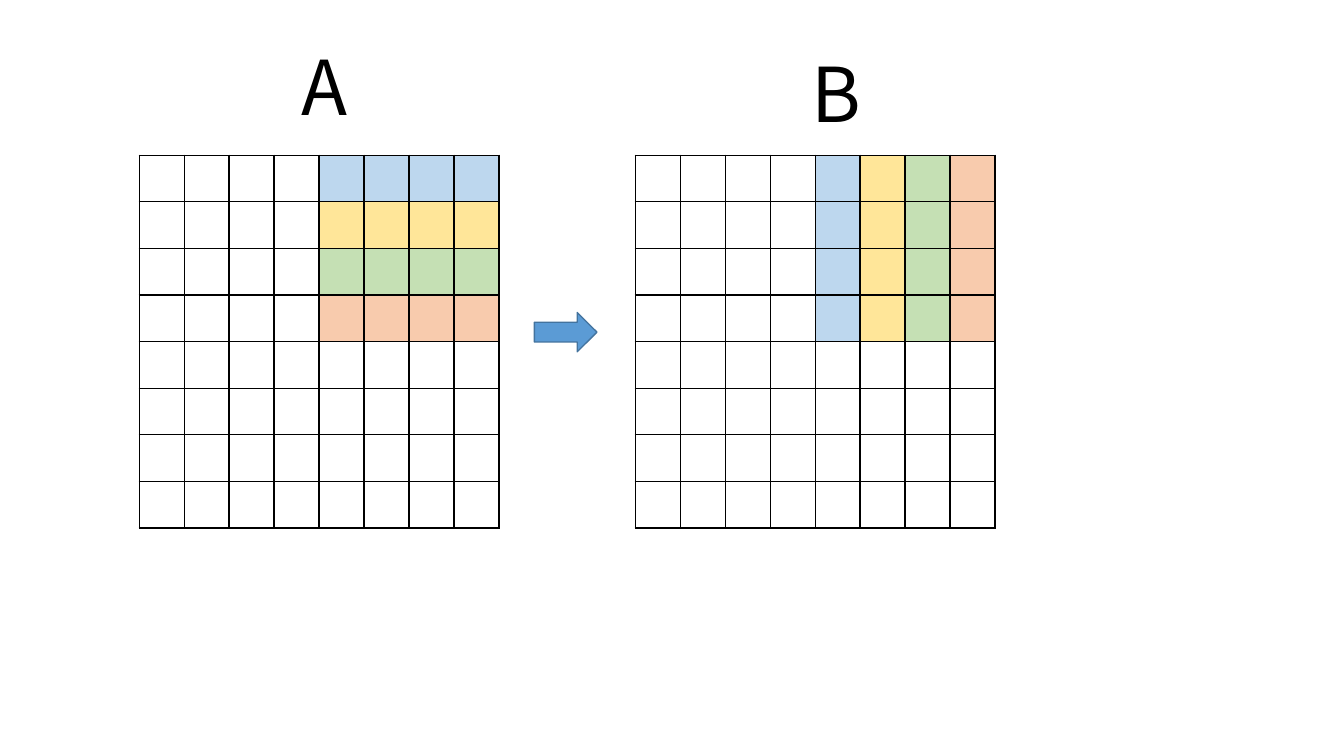
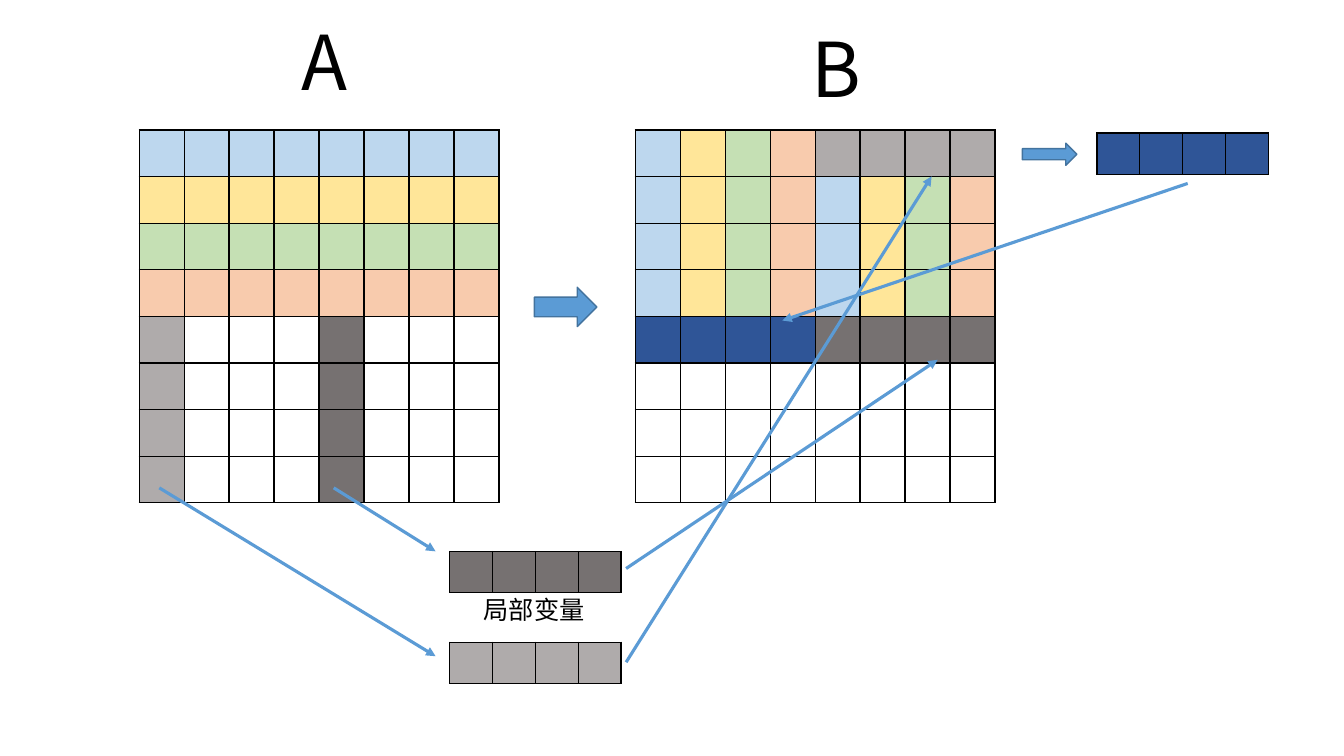
from lxml import etree
from pptx import Presentation
from pptx.dml.color import RGBColor
from pptx.enum.shapes import MSO_CONNECTOR, MSO_SHAPE
from pptx.enum.text import MSO_ANCHOR, PP_ALIGN
from pptx.oxml.ns import qn
from pptx.util import Inches, Pt

STRAIGHT = MSO_CONNECTOR.STRAIGHT
RIGHT_ARROW = MSO_SHAPE.RIGHT_ARROW
TOP = MSO_ANCHOR.TOP
LEFT, CENTER = PP_ALIGN.LEFT, PP_ALIGN.CENTER

FONT = "Noto Sans CJK SC"
BLACK, ACCENT, ACCENT_EDGE = "000000", "5B9BD5", "43739E"

# One letter per cell colour in the grid patterns
CELL_COLORS = {
    ".": "FFFFFF",
    "b": "BDD7EE",  # blue
    "y": "FFE699",  # yellow
    "g": "C5E0B4",  # green
    "o": "F8CBAD",  # orange
    "l": "AFABAB",  # light grey
    "d": "767171",  # dark grey
    "n": "2F5597",  # navy
}

MATRIX_WIDTH, MATRIX_HEIGHT = 3.57, 3.7
STRIP_WIDTH, STRIP_HEIGHT = 1.7, 0.41
EMPTY_ROWS = ["." * 8]


def color(hex_string):
    return RGBColor.from_string(hex_string)


def add_cell_borders(cell):
    properties = cell._tc.get_or_add_tcPr()
    for side in ("lnL", "lnR", "lnT", "lnB"):
        border = etree.SubElement(properties, qn(f"a:{side}"), w=str(Pt(1)))
        fill = etree.SubElement(border, qn("a:solidFill"))
        etree.SubElement(fill, qn("a:srgbClr"), val=BLACK)


def add_grid(slide, left, top, width, height, pattern):
    """Draw a table with one coloured cell for each letter of the pattern."""
    row_count, column_count = len(pattern), len(pattern[0])
    table = slide.shapes.add_table(
        row_count, column_count,
        Inches(left), Inches(top), Inches(width), Inches(height)).table
    table.first_row = table.horz_banding = False
    for row, letters in enumerate(pattern):
        for column, letter in enumerate(letters):
            cell = table.cell(row, column)
            cell.margin_top = cell.margin_bottom = 0
            add_cell_borders(cell)
            cell.fill.solid()
            cell.fill.fore_color.rgb = color(CELL_COLORS[letter])


def add_strip(slide, left, top, letter):
    add_grid(slide, left, top, STRIP_WIDTH, STRIP_HEIGHT, [letter * 4])


def add_text(slide, left, top, width, height, text, size, alignment):
    shape = slide.shapes.add_textbox(
        Inches(left), Inches(top), Inches(width), Inches(height))
    text_frame = shape.text_frame
    text_frame.word_wrap = True
    text_frame.vertical_anchor = TOP
    text_frame.text = text
    paragraph = text_frame.paragraphs[0]
    paragraph.alignment = alignment
    font = paragraph.runs[0].font
    font.name = FONT
    font.size = Pt(size)
    font.color.rgb = color(BLACK)
    etree.SubElement(font._element, qn("a:ea"), typeface=FONT)


def add_block_arrow(slide, left, top, width, height):
    shape = slide.shapes.add_shape(
        RIGHT_ARROW, Inches(left), Inches(top), Inches(width), Inches(height))
    shape.shadow.inherit = False
    shape.fill.solid()
    shape.fill.fore_color.rgb = color(ACCENT)
    shape.line.color.rgb = color(ACCENT_EDGE)
    shape.line.width = Pt(1)


def add_line_arrow(slide, start, end):
    connector = slide.shapes.add_connector(
        STRAIGHT, *(Inches(value) for value in (*start, *end)))
    connector.line.color.rgb = color(ACCENT)
    connector.line.width = Pt(2.25)
    etree.SubElement(connector.line._get_or_add_ln(), qn("a:tailEnd"),
                     type="triangle")
    etree.SubElement(connector._element.spPr, qn("a:effectLst"))


def add_matrix_pair(slide, top, pattern_a, pattern_b):
    """Draw matrices A and B with their titles and the arrow between them."""
    for left, pattern in ((1.38, pattern_a), (6.3, pattern_b)):
        add_grid(slide, left, top, MATRIX_WIDTH, MATRIX_HEIGHT, pattern)
    add_block_arrow(slide, 5.3, top + 1.56, 0.62, 0.39)
    add_text(slide, 2.82, top - 1.19, 0.8, 1.19, "A", 54, CENTER)
    add_text(slide, 7.9, top - 1.12, 0.8, 1.19, "B", 54, CENTER)


def build_quadrant_slide(slide):
    add_matrix_pair(
        slide, 1.54,
        ["...." + letter * 4 for letter in "bygo"] + EMPTY_ROWS * 4,
        ["....bygo"] * 4 + EMPTY_ROWS * 4)


def build_local_variable_slide(slide):
    add_matrix_pair(
        slide, 1.29,
        [letter * 8 for letter in "bygo"] + ["l...d..."] * 4,
        ["bygollll"] + ["bygobygo"] * 3 + ["nnnndddd"] + EMPTY_ROWS * 3)

    # Local variables that hold four values each
    add_block_arrow(slide, 10.14, 1.42, 0.54, 0.22)
    for left, top, letter in ((10.88, 1.32, "n"), (4.46, 5.47, "d"),
                              (4.46, 6.37, "l")):
        add_strip(slide, left, top, letter)
    add_text(slide, 4.7, 5.85, 1.3, 0.46, "局部变量", 18, LEFT)

    # Moves between the matrices and the local variables
    for start, end in (
        ((11.78, 1.82), (7.76, 3.18)),
        ((1.58, 4.84), (4.32, 6.51)),
        ((3.31, 4.84), (4.32, 5.47)),
        ((6.21, 5.64), (9.3, 3.57)),
        ((6.21, 6.57), (9.24, 1.75)),
    ):
        add_line_arrow(slide, start, end)


def main():
    presentation = Presentation()
    presentation.slide_width = Inches(13.33)
    presentation.slide_height = Inches(7.5)
    blank_layout = presentation.slide_layouts[6]
    for build in (build_quadrant_slide, build_local_variable_slide):
        build(presentation.slides.add_slide(blank_layout))
    presentation.save("out.pptx")


if __name__ == "__main__":
    main()
